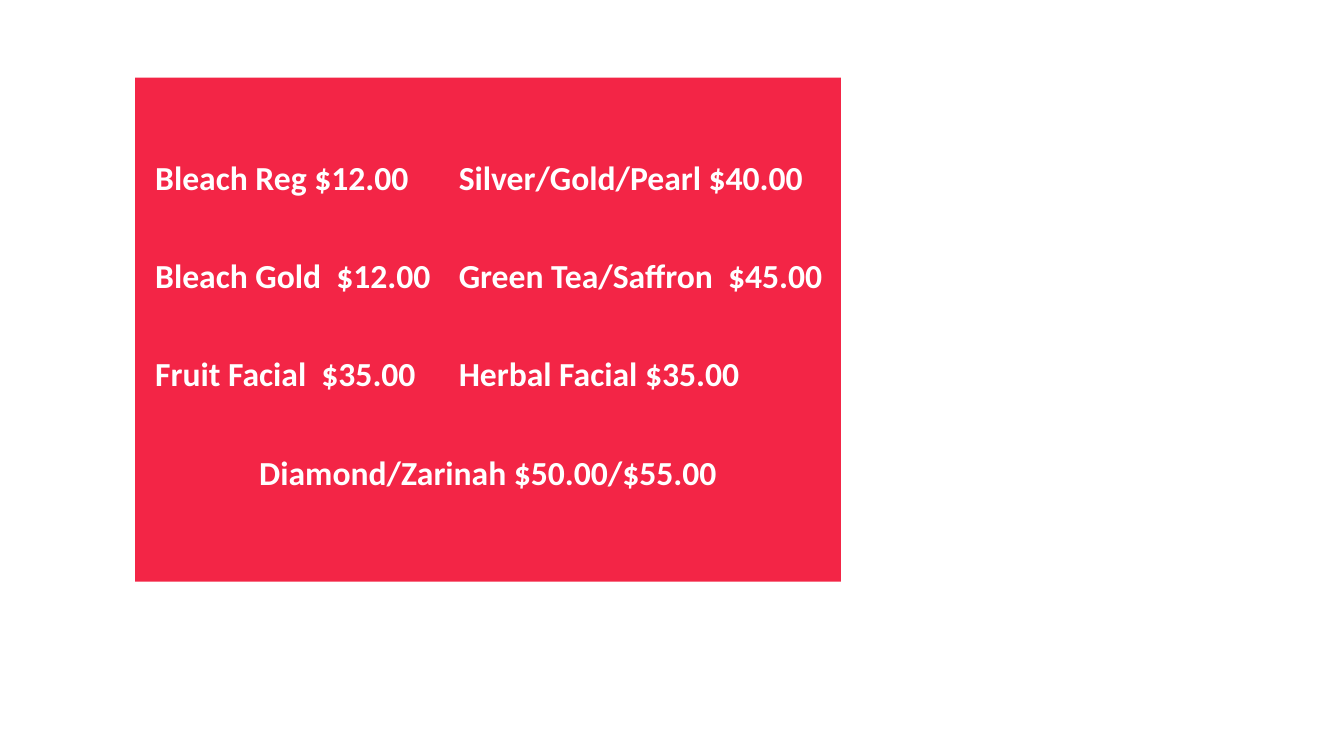
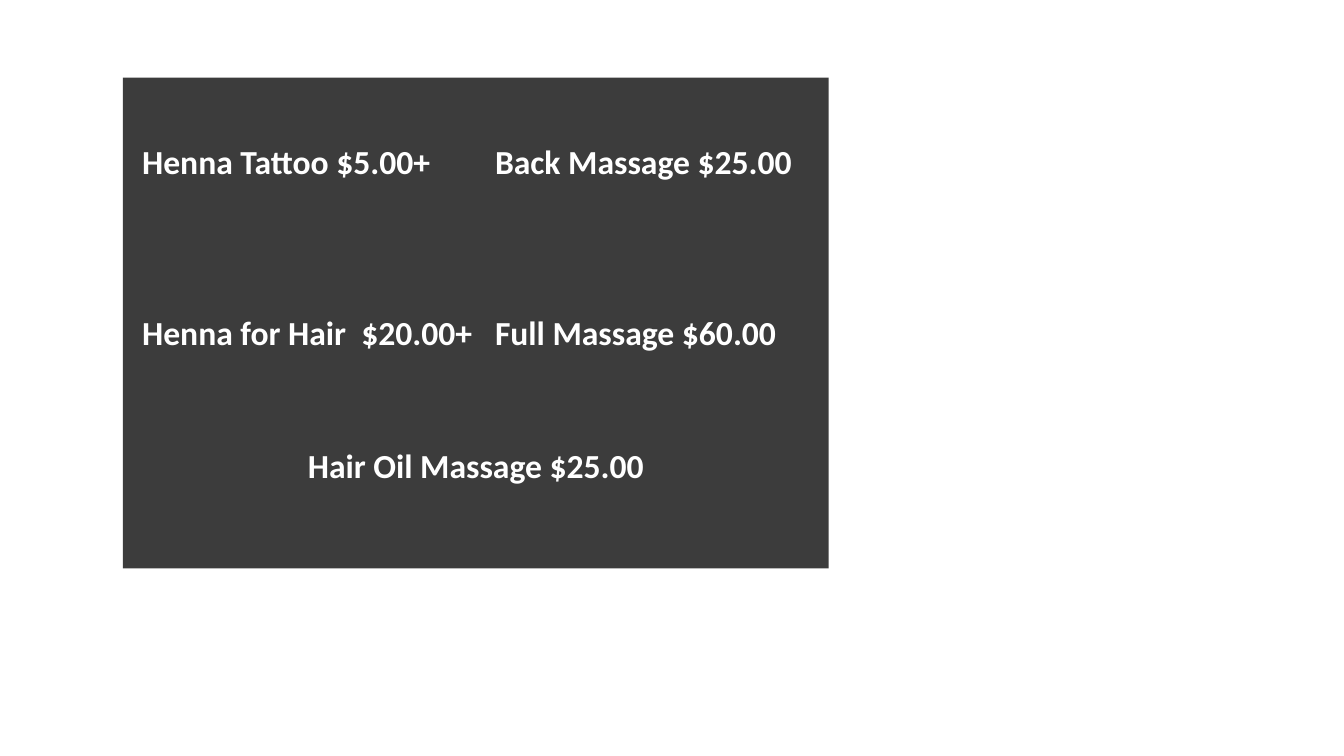
from dataclasses import dataclass

from pptx import Presentation
from pptx.dml.color import RGBColor
from pptx.enum.shapes import MSO_SHAPE
from pptx.enum.text import MSO_ANCHOR, PP_ALIGN
from pptx.oxml.ns import qn
from pptx.util import Inches, Pt


@dataclass(frozen=True)
class Theme:
    font: str = "Calibri"
    size: int = 24
    text: str = "FFFFFF"
    red: str = "F32546"
    charcoal: str = "3C3C3C"
    no_grid_style: str = "{2D5ABB26-0587-4C30-8999-92F81FD0307C}"
    inset: float = 0.01


THEME = Theme()
PANEL_TOP, PANEL_WIDTH = 0.77, 7

# Each list: left, top, width, row height, alignment, prices
MENUS = [
    {
        "color": THEME.red, "left": 1.34, "height": 5,
        "lists": [
            (1.53, 1.29, 2.85, 0.97, PP_ALIGN.LEFT,
             ["Bleach Reg $12.00", "Bleach Gold  $12.00", "Fruit Facial  $35.00"]),
            (4.54, 1.29, 4.15, 0.97, PP_ALIGN.LEFT,
             ["Silver/Gold/Pearl $40.00", "Green Tea/Saffron  $45.00", "Herbal Facial $35.00"]),
            (1.34, 4.21, PANEL_WIDTH, 0.97, PP_ALIGN.CENTER,
             ["Diamond/Zarinah $50.00/$55.00"]),
        ],
    },
    {
        "color": THEME.charcoal, "left": 1.22, "height": 4.87,
        "lists": [
            (1.4, 0.77, 3.32, 1.69, PP_ALIGN.LEFT,
             ["Henna Tattoo $5.00+", "Henna for Hair  $20.00+"]),
            (4.9, 0.77, 3.21, 1.69, PP_ALIGN.LEFT,
             ["Back Massage $25.00", "Full Massage $60.00"]),
            (1.22, 4.31, PANEL_WIDTH, 0.64, PP_ALIGN.CENTER,
             ["Hair Oil Massage $25.00"]),
        ],
    },
]


def add_panel(slide, left, height, color):
    sp = slide.shapes.add_shape(MSO_SHAPE.RECTANGLE, Inches(left), Inches(PANEL_TOP),
                                Inches(PANEL_WIDTH), Inches(height))
    sp.shadow.inherit = False
    sp.fill.solid()
    sp.fill.fore_color.rgb = RGBColor.from_string(color)
    sp.line.fill.background()


def fill_cell(cell, text, align):
    cell.fill.background()
    cell.vertical_anchor = MSO_ANCHOR.MIDDLE
    cell.margin_left = cell.margin_right = cell.margin_top = Inches(THEME.inset)
    cell.margin_bottom = 0
    p = cell.text_frame.paragraphs[0]
    p.alignment = align
    r = p.add_run()
    r.text = text
    r.font.name = THEME.font
    r.font.size = Pt(THEME.size)
    r.font.bold = True
    r.font.color.rgb = RGBColor.from_string(THEME.text)


def add_price_list(slide, left, top, width, row_height, align, prices):
    frame = slide.shapes.add_table(len(prices), 1, Inches(left), Inches(top),
                                   Inches(width), Inches(row_height * len(prices)))
    table = frame.table
    table.first_row = table.horz_banding = False
    for style in frame.element.iter(qn("a:tableStyleId")):
        style.text = THEME.no_grid_style
    for row, price in zip(table.rows, prices):
        row.height = Inches(row_height)
        fill_cell(row.cells[0], price, align)


def main():
    prs = Presentation()
    prs.slide_width, prs.slide_height = Inches(13.33), Inches(7.5)
    blank = prs.slide_layouts[6]
    for menu in MENUS:
        slide = prs.slides.add_slide(blank)
        add_panel(slide, menu["left"], menu["height"], menu["color"])
        for price_list in menu["lists"]:
            add_price_list(slide, *price_list)
    prs.save("out.pptx")


if __name__ == "__main__":
    main()
